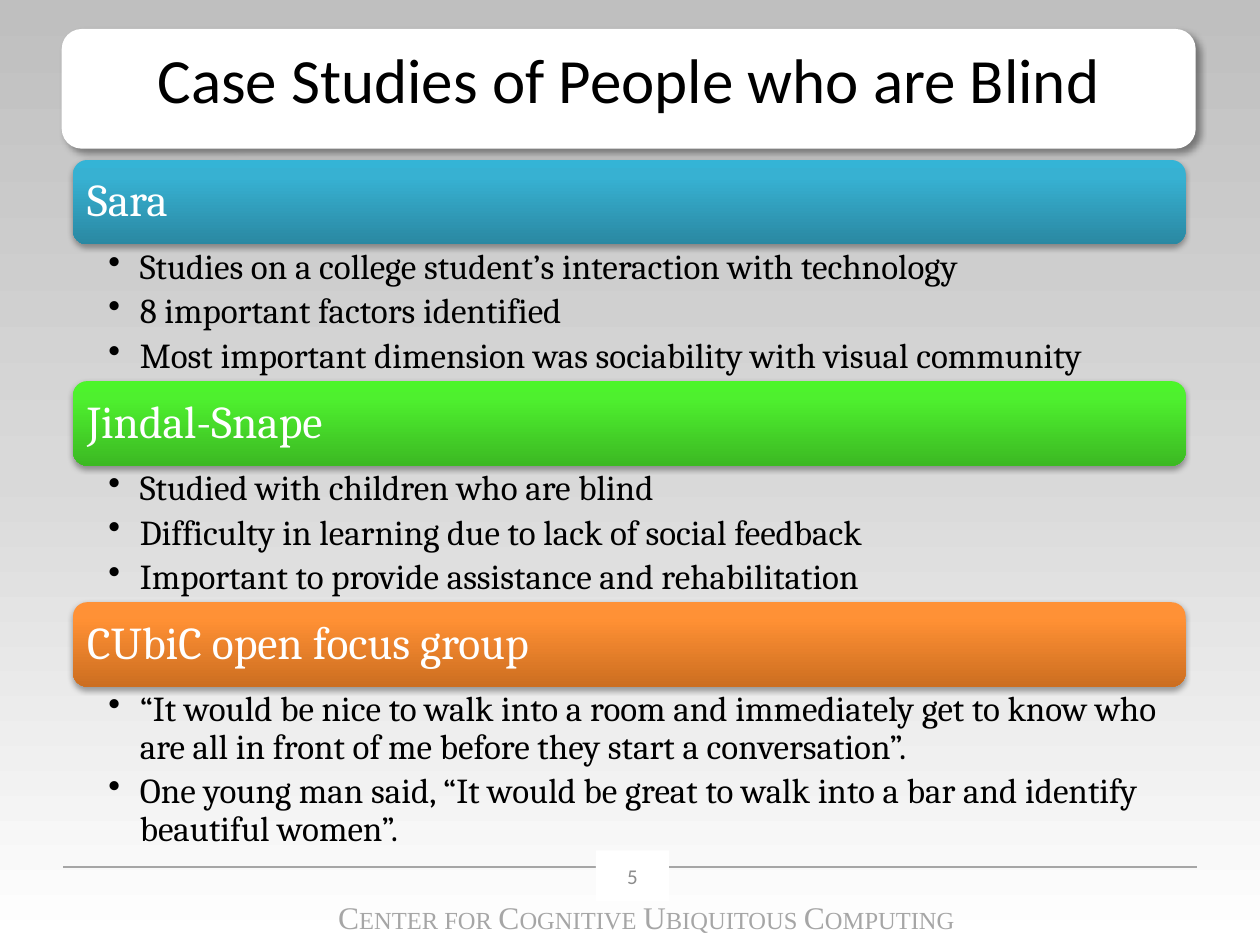
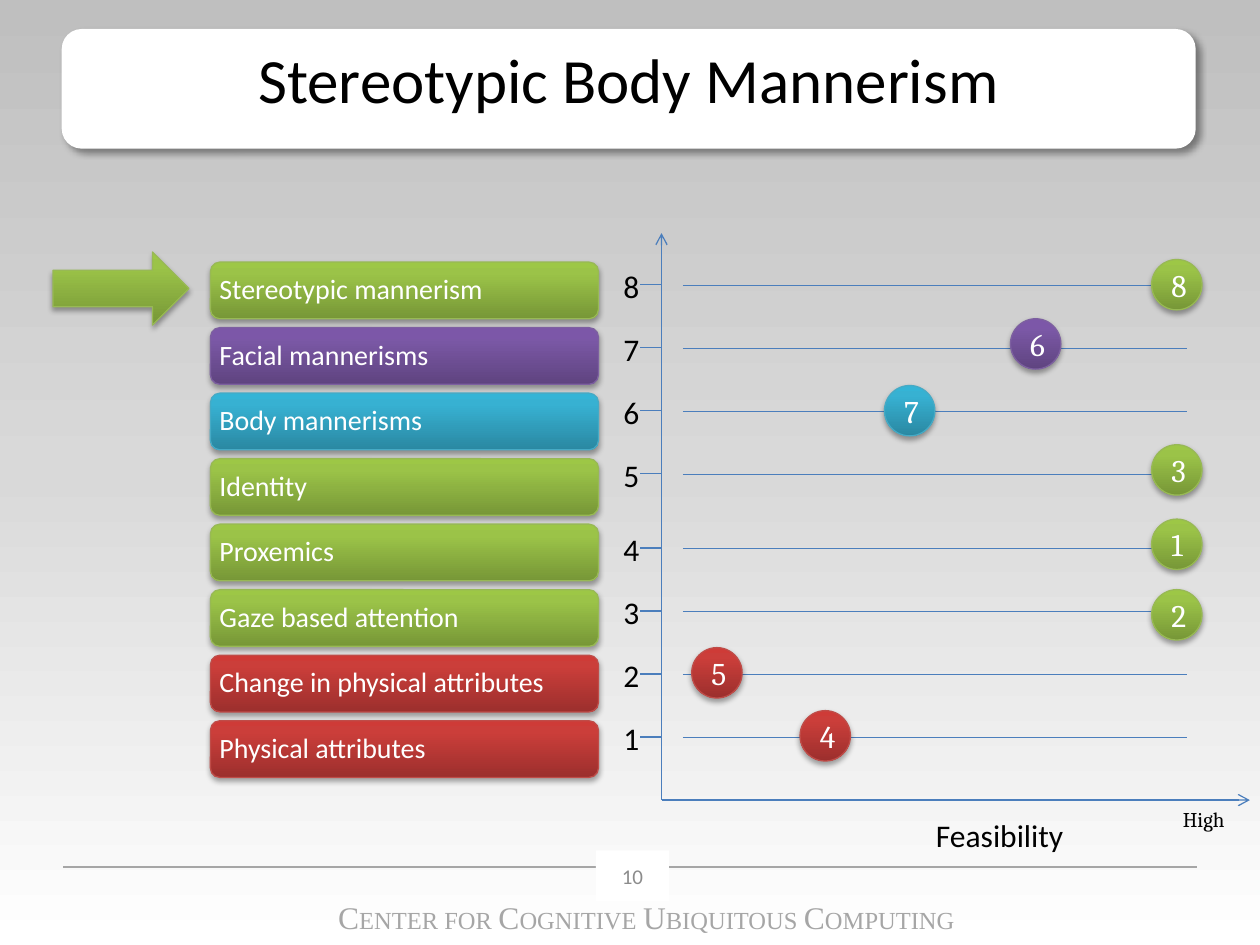
from lxml import etree
from pptx import Presentation, util as u
from pptx.dml.color import RGBColor
from pptx.enum import dml, shapes, text
from pptx.oxml import ns

BLACK = RGBColor(0x00, 0x00, 0x00)
WHITE = RGBColor(0xFF, 0xFF, 0xFF)
GREY = RGBColor(0xA6, 0xA6, 0xA6)
DIM = RGBColor(0x8C, 0x8C, 0x8C)
AXIS = RGBColor(0x4B, 0x7E, 0xBC)


def blend(*codes):
    return [RGBColor.from_string(code) for code in codes]


PAGE = blend("BFBFBF", "D9D9D9", "FFFFFF")
BLUE = blend("34B4D6", "37B1D2", "2A88A2", "46AAC5")
LIME = blend("4CF52A", "4EF02E", "3CB923")
AMBER = blend("FF9136", "FF9034", "CC6E20")
GREEN = blend("9DC746", "9BC348", "779737", "98B955")
PLUM = blend("7C57A8", "7B58A6", "5F4480", "7D60A0")
RED = blend("CE3B37", "CB3E3A", "9C2F2D", "BF4C48")

RECT = shapes.MSO_SHAPE.RECTANGLE
ROUND = shapes.MSO_SHAPE.ROUNDED_RECTANGLE
OVAL = shapes.MSO_SHAPE.OVAL
ARROW = shapes.MSO_SHAPE.RIGHT_ARROW
MID = text.MSO_ANCHOR.MIDDLE
TOP = text.MSO_ANCHOR.TOP
CENTER = text.PP_ALIGN.CENTER
LEFT = text.PP_ALIGN.LEFT
SOFT = (35, 3.1, 1.8, 90)
DEEP = (40, 4, 3, 45)

STUDIES = [
    ("Sara", BLUE, 1.09, [
        "Studies on a college student’s interaction with technology",
        "8 important factors identified",
        "Most important dimension was sociability with visual community"]),
    ("Jindal-Snape", LIME, 1.09, [
        "Studied with children who are blind",
        "Difficulty in learning due to lack of social feedback",
        "Important to provide assistance and rehabilitation"]),
    ("CUbiC open focus group", AMBER, 1.29, [
        "“It would be nice to walk into a room and immediately get to know who "
        "are all in front of me before they start a conversation”.",
        "One young man said, “It would be great to walk into a bar and identify "
        "beautiful women”."]),
]

FACTORS = [
    ("Stereotypic mannerism", GREEN, "8", 9.14, 2.06),
    ("Facial mannerisms", PLUM, "6", 8.02, 2.53),
    ("Body mannerisms", BLUE, "7", 7.02, 3.06),
    ("Identity", GREEN, "3", 9.14, 3.53),
    ("Proxemics", GREEN, "1", 9.14, 4.12),
    ("Gaze based attention", GREEN, "2", 9.14, 4.68),
    ("Change in physical attributes", RED, "5", 5.49, 5.14),
    ("Physical attributes", RED, "4", 6.35, 5.64),
]


def node(host, tag, **attrs):
    return etree.SubElement(host, ns.qn("a:" + tag),
                            {key: str(val) for key, val in attrs.items()})


def grade(shape, hues, mid):
    shape.fill.gradient()
    shape.fill.gradient_angle = 270
    stops = shape._element.spPr.find(".//" + ns.qn("a:gsLst"))
    for stop in list(stops):
        stops.remove(stop)
    for spot, hue in zip((0, mid, 100), hues):
        node(node(stops, "gs", pos=spot * 1000), "srgbClr", val=hue)


def shade(shape, alpha, blur, dist, angle):
    effects = shape._element.spPr.find(ns.qn("a:effectLst"))
    cast = node(effects, "outerShdw", blurRad=u.Pt(blur), dist=u.Pt(dist),
                dir=angle * 60000, algn="ctr", rotWithShape=0)
    node(node(cast, "srgbClr", val=BLACK), "alpha", val=alpha * 1000)


def block(slide, kind, box, fill, edge=None, shadow=None, mid=20):
    shape = slide.shapes.add_shape(kind, *map(u.Inches, box))
    shape.shadow.inherit = False
    if isinstance(fill, list):
        grade(shape, fill, mid)
    else:
        shape.fill.solid()
        shape.fill.fore_color.rgb = fill
    if edge:
        shape.line.color.rgb = edge
        shape.line.width = u.Pt(0.75)
    else:
        shape.line.fill.background()
    if shadow:
        shade(shape, *shadow)
    return shape


def write(shape, words, size=18, font="Calibri", color=BLACK, align=LEFT,
          anchor=TOP, wrap=True, pad=(0.1, 0.05, 0.1, 0.05), lead=None,
          after=None, bullet=False):
    frame = shape.text_frame
    frame.word_wrap = wrap
    frame.vertical_anchor = anchor
    (frame.margin_left, frame.margin_top,
     frame.margin_right, frame.margin_bottom) = map(u.Inches, pad)
    lines = words if isinstance(words, list) else [words]
    for i, line in enumerate(lines):
        para = frame.add_paragraph() if i else frame.paragraphs[0]
        para.alignment = align
        if bullet:
            props = para._p.get_or_add_pPr()
            props.set("marL", str(u.Inches(0.25)))
            props.set("indent", str(-u.Inches(0.25)))
            node(props, "buChar", char="•")
        if lead:
            para.line_spacing = lead
        if after is not None:
            para.space_after = u.Pt(after)
        parts = [(line, size)] if isinstance(line, str) else line
        for part, points in parts:
            run = para.add_run()
            run.text = part
            run.font.size = u.Pt(points)
            run.font.name = font
            run.font.color.rgb = color


def label(slide, box, words, **style):
    write(slide.shapes.add_textbox(*map(u.Inches, box)), words, **style)


def rule(slide, start, end, color=AXIS, width=0.75, dots=False, head=False):
    line = slide.shapes.add_connector(shapes.MSO_CONNECTOR.STRAIGHT,
                                      *map(u.Inches, start + end))
    line.line.color.rgb = color
    line.line.width = u.Pt(width)
    if dots:
        line.line.dash_style = dml.MSO_LINE.ROUND_DOT
    if head:
        node(line.line._get_or_add_ln(), "tailEnd", type="arrow")
    node(line._element.spPr, "effectLst")


def bar(slide, box, words, hues, pad, size, font, edge=None):
    shape = block(slide, ROUND, box, hues[:3], edge=edge, shadow=SOFT)
    write(shape, words, size=size, font=font, color=WHITE, anchor=MID,
          pad=(pad,) * 4, lead=0.9)


def page(deck, title, number):
    slide = deck.slides.add_slide(deck.slide_layouts[6])
    block(slide, RECT, (0, 0, 10, 7.5), PAGE, mid=50)
    head = block(slide, ROUND, (0.49, 0.23, 9, 0.95), WHITE, shadow=DEEP)
    write(head, title, size=36, align=CENTER)
    pairs = [("C", "ENTER FOR "), ("C", "OGNITIVE "),
             ("U", "BIQUITOUS "), ("C", "OMPUTING")]
    name = [run for cap, rest in pairs for run in ((cap, 18), (rest, 14))]
    label(slide, (2.17, 7.08, 5.92, 0.4), [name], font="Times New Roman",
          color=GREY, align=CENTER)
    rule(slide, (0.5, 6.88), (9.5, 6.88), color=GREY)
    badge = block(slide, RECT, (4.73, 6.75, 0.58, 0.4), WHITE)
    write(badge, number, size=12, color=DIM, align=CENTER, anchor=MID)
    return slide


def cases(deck):
    slide = page(deck, "Case Studies of People who are Blind", "5")
    top = 1.27
    for name, hues, height, points in STUDIES:
        bar(slide, (0.58, top, 8.83, 0.67), name, hues, 0.08, 26, "Cambria")
        top += 0.665
        label(slide, (0.58, top, 8.83, height), points, size=20,
              font="Cambria", pad=(0.28, 0.04, 0.2, 0.04), lead=0.9,
              after=4, bullet=True)
        top += height


def chart(deck):
    slide = page(deck, "Stereotypic Body Mannerism", "10")
    rule(slide, (5.25, 6.35), (9.92, 6.35), head=True)
    rule(slide, (5.25, 6.35), (5.25, 1.85), head=True)
    label(slide, (7.33, 6.43, 1.22, 0.4), "Feasibility", wrap=False)
    label(slide, (9.29, 6.35, 0.54, 0.3), "High", size=12, font="Cambria",
          wrap=False)
    for i, (name, hues, rank, left, top) in enumerate(FACTORS):
        level = 2.26 + 0.5 * i + (0.09 if i > 3 else 0)
        rule(slide, (5.08, level), (5.25, level))
        rule(slide, (5.42, level), (9.42, level), width=0.25, dots=True)
        label(slide, (4.85, level - 0.19, 0.33, 0.4), str(8 - i), wrap=False)
        dot = block(slide, OVAL, (left, top, 0.4, 0.4), hues[:3],
                    edge=hues[3], shadow=SOFT)
        write(dot, rank, font="Cambria", color=WHITE, align=CENTER, anchor=MID)
        bar(slide, (1.67, 2.08 + 0.52 * i, 3.08, 0.45), name, hues, 0.05, 16,
            "Calibri", edge=hues[3])
    block(slide, ARROW, (0.42, 2, 1.08, 0.58), GREEN[:3], edge=GREEN[3],
          shadow=SOFT)


def main():
    deck = Presentation()
    deck.slide_width = u.Inches(10)
    deck.slide_height = u.Inches(7.5)
    cases(deck)
    chart(deck)
    deck.save("out.pptx")


if __name__ == "__main__":
    main()
